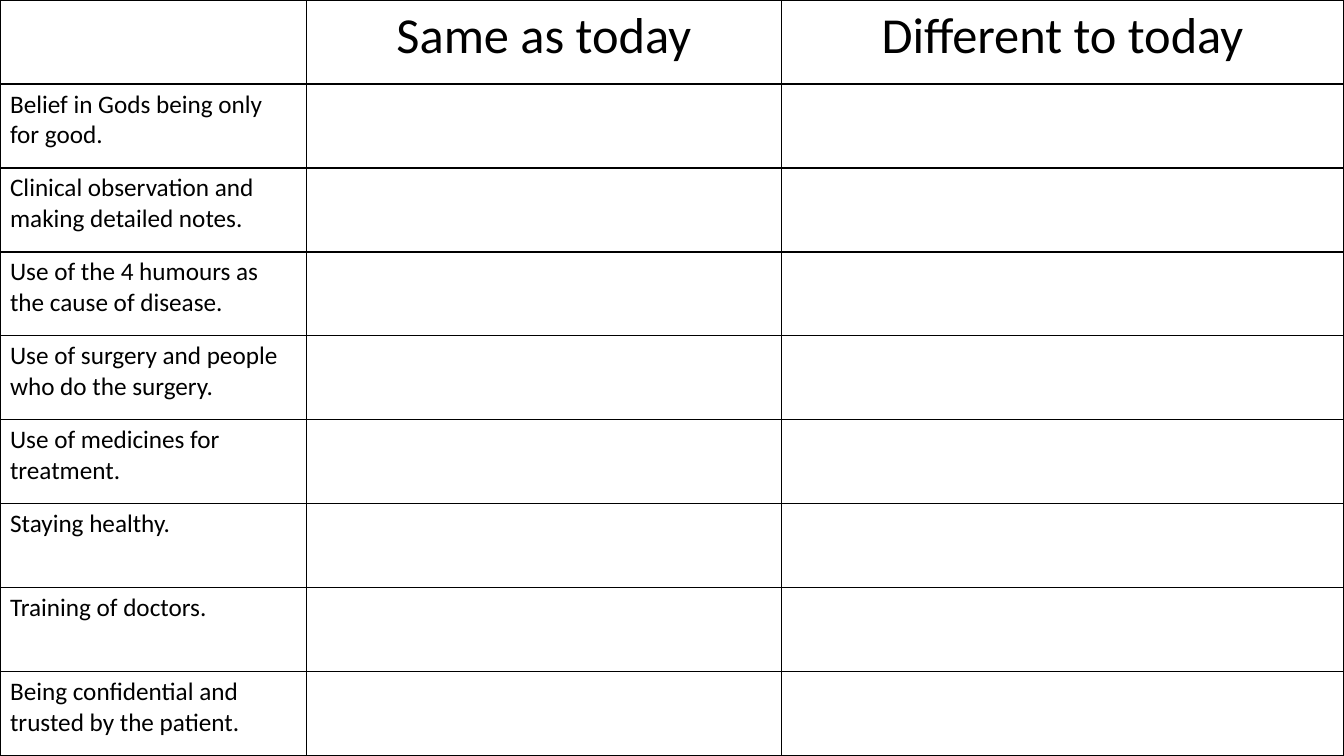
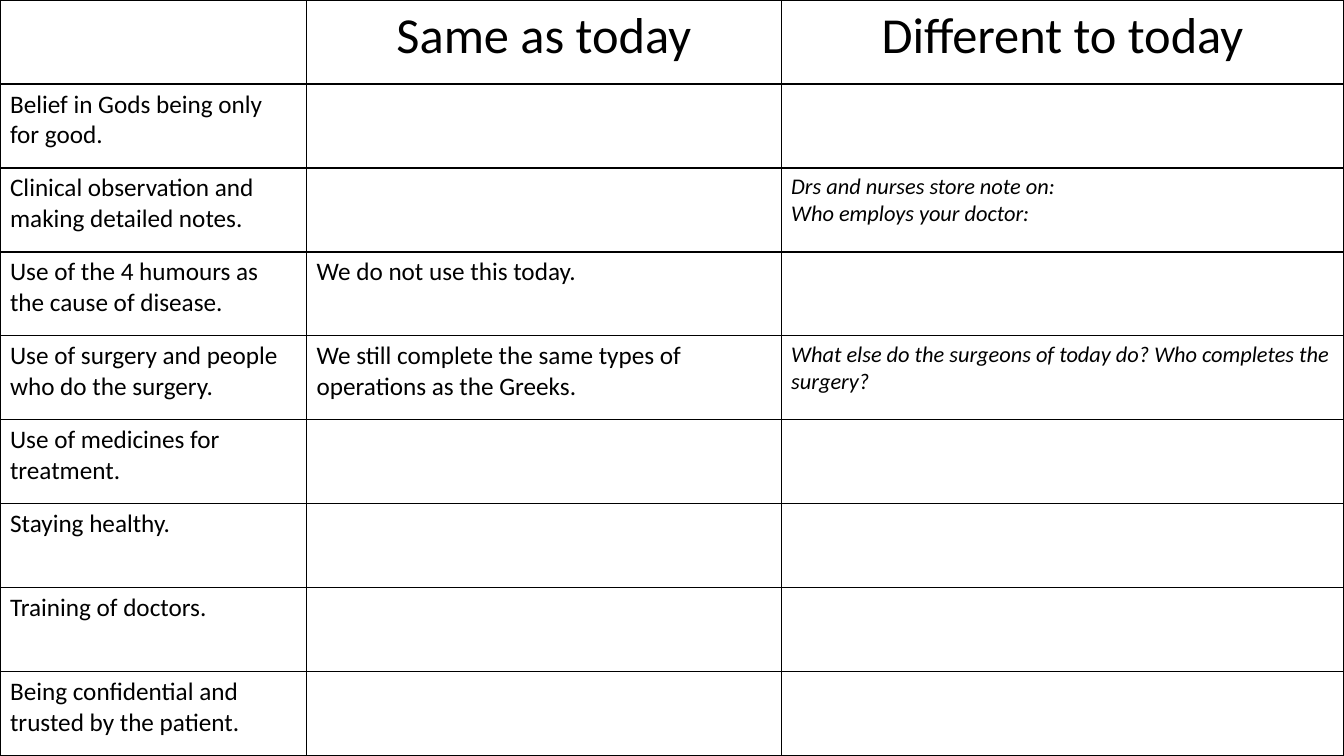
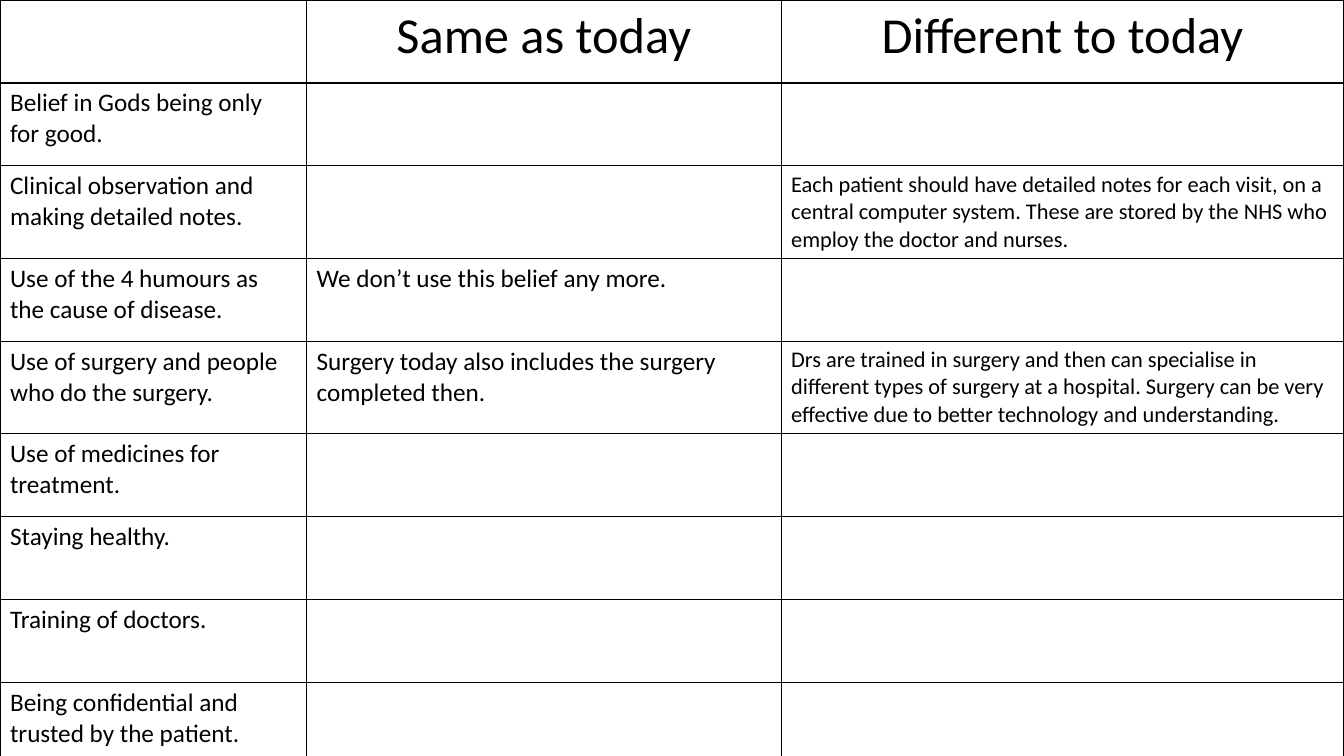
"""Three worksheet slides comparing Greek medicine with medicine today."""
from dataclasses import dataclass, field

from lxml import etree
from pptx import Presentation
from pptx.dml.color import RGBColor
from pptx.enum.text import PP_ALIGN
from pptx.oxml.ns import qn
from pptx.util import Emu, Pt

CENTER, LEFT = PP_ALIGN.CENTER, PP_ALIGN.LEFT
EMU_PER_PX = 9525
SLIDE_W, SLIDE_H = 1280, 720
COL_WIDTHS = (292, 452, 536)
BLACK, WHITE = "000000", "FFFFFF"
FONT = "Calibri"
BORDER_PT = 1
HEADER_SIZE, BODY_SIZE, NOTE_SIZE = 36, 18, 16
HEADINGS = ("", "Same as today", "Different to today")
TOPICS = (
    "Belief in Gods being only for good.",
    "Clinical observation and making detailed notes.",
    "Use of the 4 humours as the cause of disease.",
    "Use of surgery and people who do the surgery.",
    "Use of medicines for treatment.",
    "Staying healthy.",
    "Training of doctors.",
    "Being confidential and trusted by the patient.",
)
OBSERVATION, HUMOURS, SURGERY = 2, 3, 4


@dataclass(frozen=True)
class Worksheet:
    """Answers by table row, with the look of one worksheet."""
    same: dict[int, str] = field(default_factory=dict)
    different: dict[int, str] = field(default_factory=dict)
    hints: bool = False
    row_height: int = 80
    tall_rows: dict[int, int] = field(default_factory=dict)


WORKSHEETS = (
    Worksheet(),
    Worksheet(
        same={
            HUMOURS: "We do not use this today.",
            SURGERY: "We still complete the same types of operations as the Greeks.",
        },
        different={
            OBSERVATION: "Drs and nurses store note on:\nWho employs your doctor:",
            SURGERY: "What else do the surgeons of today do? Who completes the surgery?",
        },
        hints=True,
    ),
    Worksheet(
        same={
            HUMOURS: "We don’t use this belief any more.",
            SURGERY: "Surgery today also includes the surgery completed then.",
        },
        different={
            OBSERVATION: "Each patient should have detailed notes for each visit, on a "
                         "central computer system. These are stored by the NHS who "
                         "employ the doctor and nurses.",
            SURGERY: "Drs are trained in surgery and then can specialise in different "
                     "types of surgery at a hospital. Surgery can be very effective due "
                     "to better technology and understanding.",
        },
        row_height=79,
        tall_rows={OBSERVATION: 88, SURGERY: 88},
    ),
)


def px(n: int) -> Emu:
    """Turn pixels into EMU."""
    return Emu(n * EMU_PER_PX)


def color(value: str) -> RGBColor:
    """Turn a hex string into a colour."""
    return RGBColor.from_string(value)


def add_borders(cell) -> None:
    """Draw a solid line on all four sides of a cell."""
    tcPr = cell._tc.get_or_add_tcPr()
    for side in ("a:lnL", "a:lnR", "a:lnT", "a:lnB"):
        ln = etree.SubElement(tcPr, qn(side), w=str(Pt(BORDER_PT)))
        fill = etree.SubElement(ln, qn("a:solidFill"))
        etree.SubElement(fill, qn("a:srgbClr"), val=BLACK)


def fill_cell(cell, text: str, size: int, align: PP_ALIGN = LEFT,
              italic: bool = False) -> None:
    """Style one cell and write its text."""
    add_borders(cell)
    cell.fill.solid()
    cell.fill.fore_color.rgb = color(WHITE)
    if not text:
        return
    cell.text_frame.text = text
    for p in cell.text_frame.paragraphs:
        p.alignment = align
        for r in p.runs:
            r.font.name = FONT
            r.font.size = Pt(size)
            r.font.bold = False
            r.font.italic = italic
            r.font.color.rgb = color(BLACK)


def add_worksheet(prs, sheet: Worksheet) -> None:
    """Add a slide filled by one comparison table."""
    s = prs.slides.add_slide(prs.slide_layouts[6])
    heights = [sheet.tall_rows.get(i, sheet.row_height) for i in range(len(TOPICS) + 1)]
    table = s.shapes.add_table(len(heights), len(COL_WIDTHS), px(0), px(0),
                               px(SLIDE_W), px(sum(heights))).table
    table.first_row = table.horz_banding = False
    for column, width in zip(table.columns, COL_WIDTHS):
        column.width = px(width)
    for row, height in zip(table.rows, heights):
        row.height = px(height)
    for col, heading in enumerate(HEADINGS):
        fill_cell(table.cell(0, col), heading, HEADER_SIZE, CENTER)
    for i, topic in enumerate(TOPICS, start=1):
        fill_cell(table.cell(i, 0), topic, BODY_SIZE)
        fill_cell(table.cell(i, 1), sheet.same.get(i, ""), BODY_SIZE)
        fill_cell(table.cell(i, 2), sheet.different.get(i, ""), NOTE_SIZE,
                  italic=sheet.hints)


def main() -> None:
    """Build and save the presentation."""
    prs = Presentation()
    prs.slide_width, prs.slide_height = px(SLIDE_W), px(SLIDE_H)
    for sheet in WORKSHEETS:
        add_worksheet(prs, sheet)
    prs.save("out.pptx")


if __name__ == "__main__":
    main()
